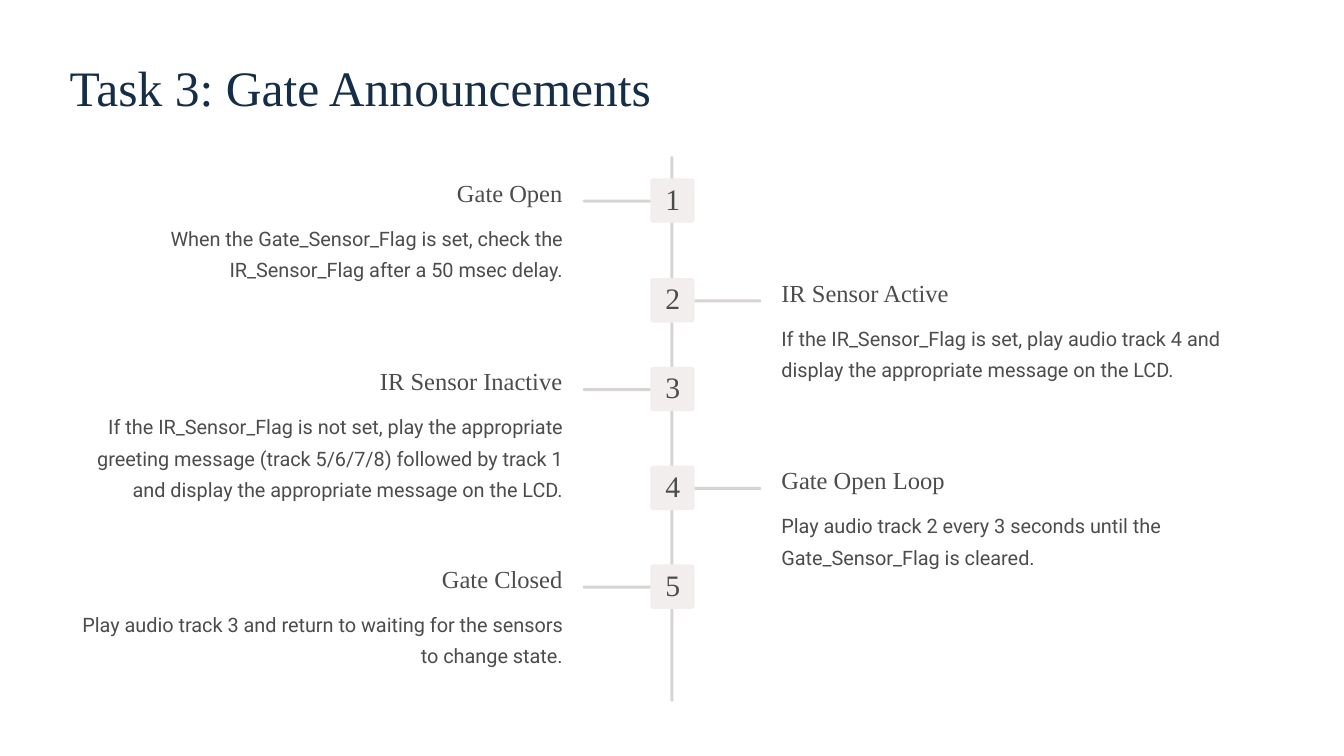
import pptx
import pptx.dml.color
import pptx.enum.shapes
import pptx.enum.text
import pptx.util

Inches = pptx.util.Inches
Pt = pptx.util.Pt
ALIGN = pptx.enum.text.PP_ALIGN

COLORS = {
    "title": "152D47",
    "text": "4C4C4D",
    "line": "D8D4D4",
    "badge": "F2EEEE",
    "back": "FFFFFF",
}

# Badge top, heading, body text, body height
STEPS = [
    (1.77, "Gate Open",
     "When the Gate_Sensor_Flag is set, check the IR_Sensor_Flag after a 50 msec delay.", 0.63),
    (2.76, "IR Sensor Active",
     "If the IR_Sensor_Flag is set, play audio track 4 and display the appropriate "
     "message on the LCD.", 0.63),
    (3.64, "IR Sensor Inactive",
     "If the IR_Sensor_Flag is not set, play the appropriate greeting message "
     "(track 5/6/7/8) followed by track 1 and display the appropriate message on the LCD.", 0.94),
    (4.62, "Gate Open Loop",
     "Play audio track 2 every 3 seconds until the Gate_Sensor_Flag is cleared.", 0.63),
    (5.6, "Gate Closed",
     "Play audio track 3 and return to waiting for the sensors to change state.", 0.63),
]


def tint(fill, name):
    fill.solid()
    fill.fore_color.rgb = pptx.dml.color.RGBColor.from_string(COLORS[name])


class Deck:
    """Holds the style and the current slide."""

    serif = "Times New Roman"
    sans = "Roboto"

    def __init__(self, slide):
        self.slide = slide
        tint(slide.background.fill, "back")

    def text(self, words, left, top, width, height, *, size, lead, font=serif,
             color="text", align=ALIGN.LEFT, wrap=False):
        box = self.slide.shapes.add_textbox(
            Inches(left), Inches(top), Inches(width), Inches(height))
        frame = box.text_frame
        frame.word_wrap = wrap
        frame.margin_left = frame.margin_right = 0
        frame.margin_top = frame.margin_bottom = 0
        para = frame.paragraphs[0]
        para.alignment = align
        para.line_spacing = Pt(lead)
        run = para.add_run()
        run.text = words
        run.font.size = Pt(size)
        run.font.name = font
        tint(run.font.fill, color)

    def block(self, left, top, width, height, color, curve):
        """Add a filled rectangle with rounded corners."""
        shape = self.slide.shapes.add_shape(
            pptx.enum.shapes.MSO_SHAPE.ROUNDED_RECTANGLE,
            Inches(left), Inches(top), Inches(width), Inches(height))
        shape.adjustments[0] = curve
        shape.shadow.inherit = False
        tint(shape.fill, color)
        shape.line.fill.background()

    def bar(self, left, top, width, height):
        self.block(left, top, width, height, "line", 0.5)

    def step(self, num, top, head, body, tall):
        """Add one numbered step; odd ones sit left of the axis."""
        odd = num % 2 == 1
        align = ALIGN.RIGHT if odd else ALIGN.LEFT
        self.bar(5.78 if odd else 6.86, top + 0.21, 0.69, 0.03)
        self.block(6.45, top, 0.44, 0.44, "badge", 0.07)
        self.text(str(num), 6.6, top + 0.08, 0.14, 0.3,
                  size=21.2, lead=21.2, align=ALIGN.CENTER)
        self.text(head, 3.12 if odd else 7.75, top - 0.02, 2.46, 0.31,
                  size=17.5, lead=22.1, align=align)
        self.text(body, 0.69 if odd else 7.75, top + 0.4, 4.89, tall,
                  size=14.2, lead=22.5, font=self.sans, align=align, wrap=True)


def main():
    show = pptx.Presentation()
    show.slide_width = Inches(13.33)
    show.slide_height = Inches(7.5)
    deck = Deck(show.slides.add_slide(show.slide_layouts[6]))
    deck.text("Task 3: Gate Announcements", 0.69, 0.54, 5.89, 0.62,
              size=35.4, lead=44.2, color="title")
    deck.bar(6.65, 1.55, 0.03, 5.41)
    for num, step in enumerate(STEPS, 1):
        deck.step(num, *step)
    show.save("out.pptx")


if __name__ == "__main__":
    main()
